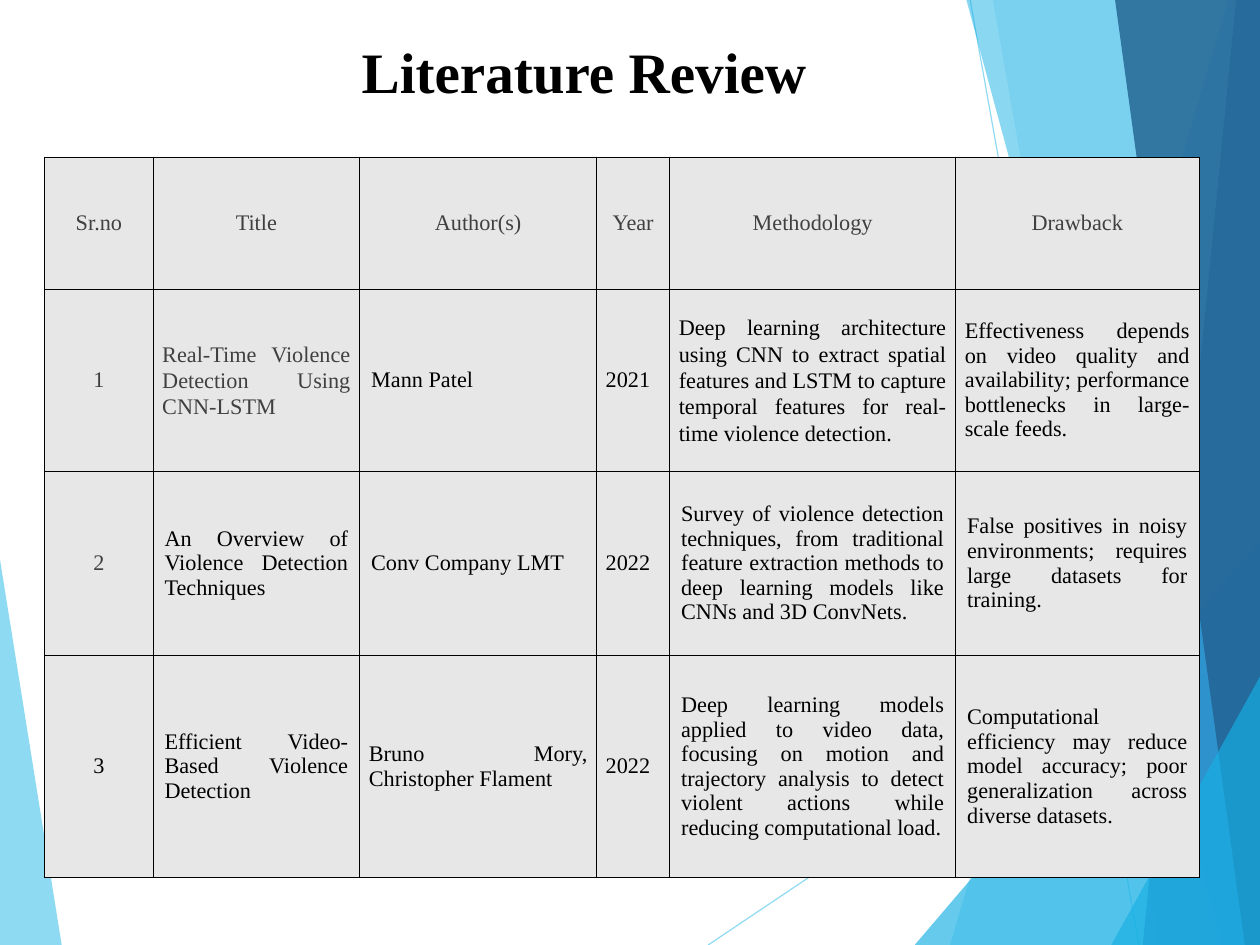
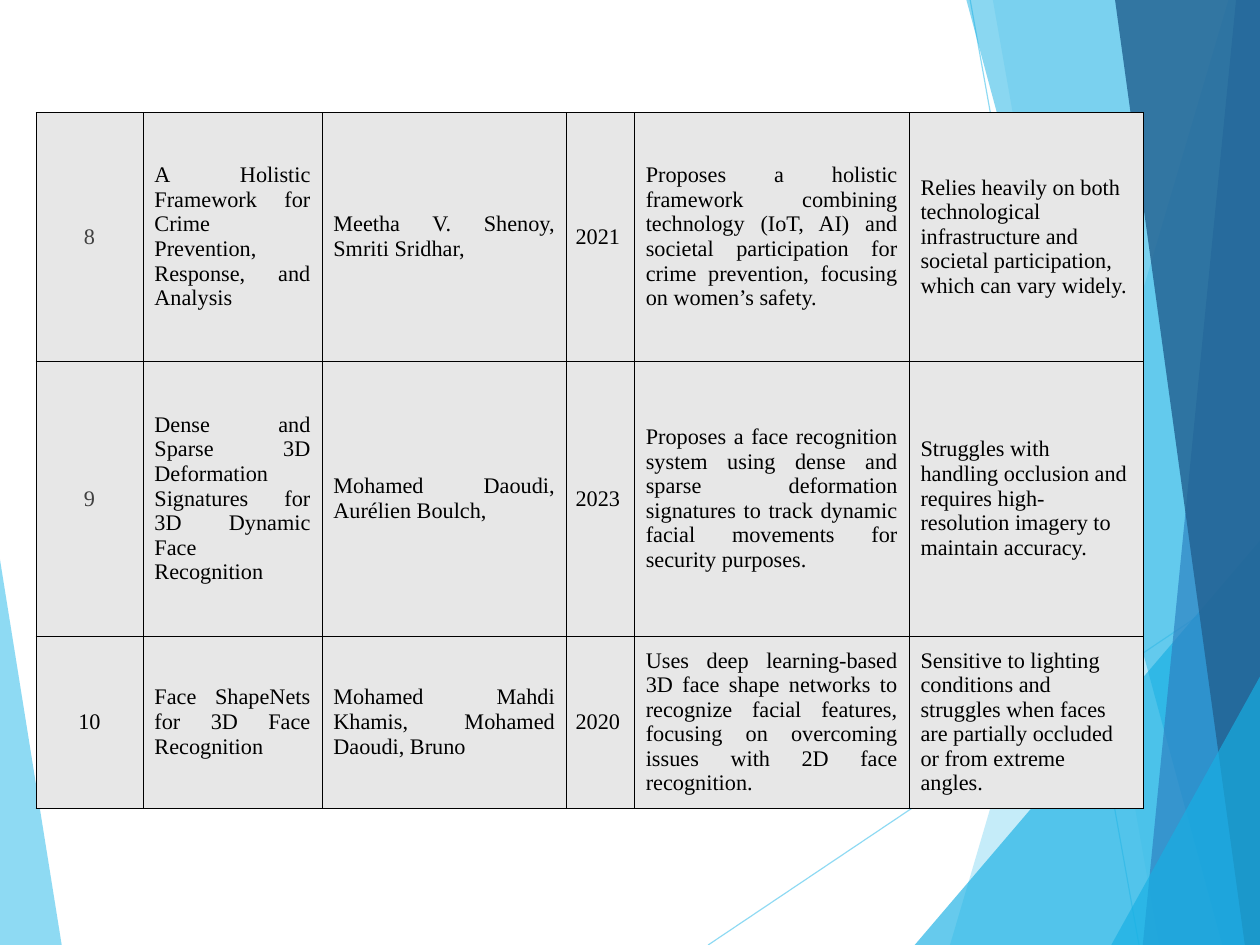
import lxml.etree
import pptx
import pptx.dml.color
import pptx.enum.shapes
import pptx.enum.text
import pptx.oxml.ns
import pptx.util

RGB = pptx.dml.color.RGBColor
ALIGN = pptx.enum.text.PP_ALIGN
ANCHOR = pptx.enum.text.MSO_ANCHOR
qn = pptx.oxml.ns.qn

W = pptx.util.Cm(28)
H = pptx.util.Cm(21)
FONT = "Times New Roman"
BLACK = RGB(0x00, 0x00, 0x00)
GREY = RGB(0x40, 0x40, 0x40)
CELL = RGB(0xE7, 0xE7, 0xE7)
SKY = RGB(0x5F, 0xCB, 0xEF)
AZURE = RGB(0x17, 0xB0, 0xE4)
BLUE = RGB(0x2E, 0x83, 0xC3)
NAVY = RGB(0x23, 0x62, 0x92)

RIGHT_EDGE = [(100, 100), (100, 0)]
RAYS = [((56.2, 100), (100, 60.8)), ((77, 0), (90.4, 100))]
LEFT_FACET = (SKY, 70, [(0, 59.2), (4.9, 100), (0, 100)])
RIGHT_FACETS = [
    (SKY, 36, [(97.5, 0), (75.4, 100)] + RIGHT_EDGE),
    (SKY, 20, [(78.8, 0), (92, 100)] + RIGHT_EDGE),
    (AZURE, 66, [(72.6, 100), (100, 57.2), (100, 100)]),
    (AZURE, 50, [(76.7, 0), (97, 100)] + RIGHT_EDGE),
    (BLUE, 70, [(98.1, 0), (90.7, 100)] + RIGHT_EDGE),
    (NAVY, 82, [(88.5, 0), (98.8, 100)] + RIGHT_EDGE),
    (AZURE, 66, [(88.2, 100), (100, 71.6), (100, 100)]),
]

HEAD = dict(color=GREY, align=ALIGN.CENTER, inset=0.08)
LAST_NUMBER = dict(align=ALIGN.CENTER, inset=0.08)
BODY = dict(align=ALIGN.JUSTIFY)
TIGHT = dict(align=ALIGN.JUSTIFY, inset=0.08)
LOOSE = dict(TIGHT, spacing=1.07)
RAGGED = dict(align=ALIGN.LEFT)
COLUMN_STYLES = [HEAD, BODY, BODY, TIGHT, BODY, BODY]

REVIEW_START = [
    ["Sr.no", "Title", "Author(s)", "Year", "Methodology", "Drawback"],
    ["1", "Real-Time Violence Detection Using CNN-LSTM", "Mann Patel", "2021",
     "Deep learning architecture using CNN to extract spatial features and LSTM to "
     "capture temporal features for real-time violence detection.",
     "Effectiveness depends on video quality and availability; performance "
     "bottlenecks in large-scale feeds."],
    ["2", "An Overview of Violence Detection Techniques", "Conv Company LMT", "2022",
     "Survey of violence detection techniques, from traditional feature extraction "
     "methods to deep learning models like CNNs and 3D ConvNets.",
     "False positives in noisy environments; requires large datasets for training."],
    ["3", "Efficient Video-Based Violence Detection",
     "Bruno Mory, Christopher Flament", "2022",
     "Deep learning models applied to video data, focusing on motion and trajectory "
     "analysis to detect violent actions while reducing computational load.",
     "Computational efficiency may reduce model accuracy; poor generalization "
     "across diverse datasets."],
]
REVIEW_END = [
    ["8", "A Holistic Framework for Crime Prevention, Response, and Analysis",
     "Meetha V. Shenoy, Smriti Sridhar,", "2021",
     "Proposes a holistic framework combining technology (IoT, AI) and societal "
     "participation for crime prevention, focusing on women’s safety.",
     "Relies heavily on both technological infrastructure and societal "
     "participation, which can vary widely."],
    ["9", "Dense and Sparse 3D Deformation Signatures for 3D Dynamic Face Recognition",
     "Mohamed Daoudi, Aurélien Boulch,", "2023",
     "Proposes a face recognition system using dense and sparse deformation "
     "signatures to track dynamic facial movements for security purposes.",
     "Struggles with handling occlusion and requires high-resolution imagery to "
     "maintain accuracy."],
    ["10", "Face ShapeNets for 3D Face Recognition",
     "Mohamed Mahdi Khamis, Mohamed Daoudi, Bruno", "2020",
     "Uses deep learning-based 3D face shape networks to recognize facial features, "
     "focusing on overcoming issues with 2D face recognition.",
     "Sensitive to lighting conditions and struggles when faces are partially "
     "occluded or from extreme angles."],
]


def across(share):
    return round(W * share / 100)


def down(share):
    return round(H * share / 100)


def write(tf, text, size=14, color=BLACK, bold=False, align=ALIGN.LEFT, spacing=None):
    p = tf.paragraphs[0]
    p.alignment = align
    p.line_spacing = spacing
    r = p.add_run()
    r.text = text
    r.font.name = FONT
    r.font.size = pptx.util.Pt(size)
    r.font.bold = bold
    r.font.color.rgb = color


def set_alpha(shape, share):
    for color in shape.element.iter(qn("a:srgbClr")):
        lxml.etree.SubElement(color, qn("a:alpha")).set("val", str(share * 1000))


def add_facet(s, color, alpha, points):
    corners = [(across(x), down(y)) for x, y in points]
    builder = s.shapes.build_freeform(*corners[0], scale=1.0)
    builder.add_line_segments(corners[1:], close=True)
    facet = builder.convert_to_shape()
    facet.shadow.inherit = False
    facet.fill.solid()
    facet.fill.fore_color.rgb = color
    facet.line.fill.background()
    set_alpha(facet, alpha)
    return facet


def add_ray(s, start, end):
    ray = s.shapes.add_connector(
        pptx.enum.shapes.MSO_CONNECTOR.STRAIGHT,
        across(start[0]), down(start[1]), across(end[0]), down(end[1]))
    ray.line.color.rgb = SKY
    ray.line.width = pptx.util.Pt(0.75)
    lxml.etree.SubElement(ray.element.spPr, qn("a:effectLst"))
    set_alpha(ray, 70)
    return ray


def add_backdrop(master, s):
    shapes = [add_facet(s, *LEFT_FACET)]
    shapes += [add_ray(s, *ray) for ray in RAYS]
    shapes += [add_facet(s, *facet) for facet in RIGHT_FACETS]
    for i, shape in enumerate(shapes):
        shape.element.find(".//" + qn("p:cNvPr")).set("id", str(100 + i))
        master.shapes.element.insert(2 + i, shape.element)


def add_title(s, text):
    title = s.shapes.title
    title.left, title.top = across(27.8), down(3.2)
    title.width, title.height = across(60), down(8)
    tf = title.text_frame
    tf.auto_size = pptx.enum.text.MSO_AUTO_SIZE.NONE
    tf.vertical_anchor = ANCHOR.TOP
    write(tf, text, size=36, bold=True)


def set_borders(cell):
    tcPr = cell._tc.get_or_add_tcPr()
    for side in ("a:lnL", "a:lnR", "a:lnT", "a:lnB"):
        ln = lxml.etree.SubElement(tcPr, qn(side), w=str(pptx.util.Pt(0.45)))
        fill = lxml.etree.SubElement(ln, qn("a:solidFill"))
        lxml.etree.SubElement(fill, qn("a:srgbClr"), val=str(BLACK))


def format_cell(cell, text, inset=0.1, **style):
    set_borders(cell)
    cell.fill.solid()
    cell.fill.fore_color.rgb = CELL
    cell.vertical_anchor = ANCHOR.MIDDLE
    cell.margin_left = cell.margin_right = pptx.util.Inches(inset)
    write(cell.text_frame, text, **style)


def add_review(s, data, left, top, widths, heights, styles):
    table = s.shapes.add_table(
        len(data), len(widths), across(left), down(top),
        across(sum(widths)), down(sum(heights))).table
    table.first_row = table.horz_banding = False
    for column, share in zip(table.columns, widths):
        column.width = across(share)
    for row, share in zip(table.rows, heights):
        row.height = down(share)
    for i, texts in enumerate(data):
        for j, text in enumerate(texts):
            format_cell(table.cell(i, j), text, **styles.get((i, j), COLUMN_STYLES[j]))


def main():
    prs = pptx.Presentation()
    prs.slide_width, prs.slide_height = W, H

    s = prs.slides.add_slide(prs.slide_layouts[5])
    add_backdrop(prs.slide_master, s)
    add_title(s, "Literature Review")
    styles = {(0, j): HEAD for j in range(6)}
    styles.update({(1, 1): dict(LOOSE, color=GREY), (1, 4): LOOSE, (1, 5): TIGHT,
                   (3, 0): LAST_NUMBER, (3, 2): TIGHT})
    add_review(s, REVIEW_START, 3.55, 16.6, [8.6, 16.4, 18.8, 5.8, 22.7, 19.3],
               [14, 19.25, 19.5, 23.5], styles)

    s = prs.slides.add_slide(prs.slide_layouts[6])
    styles = {(i, 5): RAGGED for i in range(3)}
    styles[2, 0] = LAST_NUMBER
    add_review(s, REVIEW_END, 2.85, 11.9, [8.5, 14.2, 19.4, 5.4, 21.8, 18.6],
               [26.3, 29.1, 18.2], styles)

    prs.save("out.pptx")


if __name__ == "__main__":
    main()
